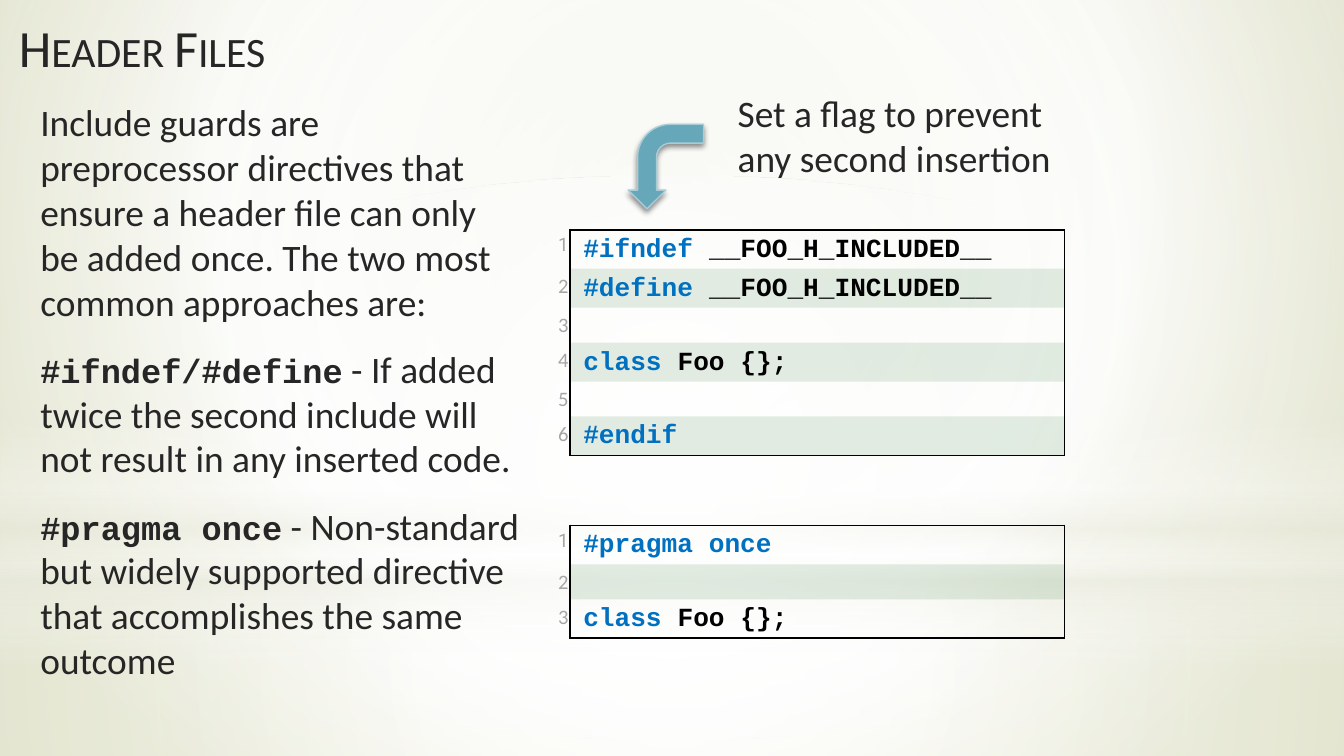
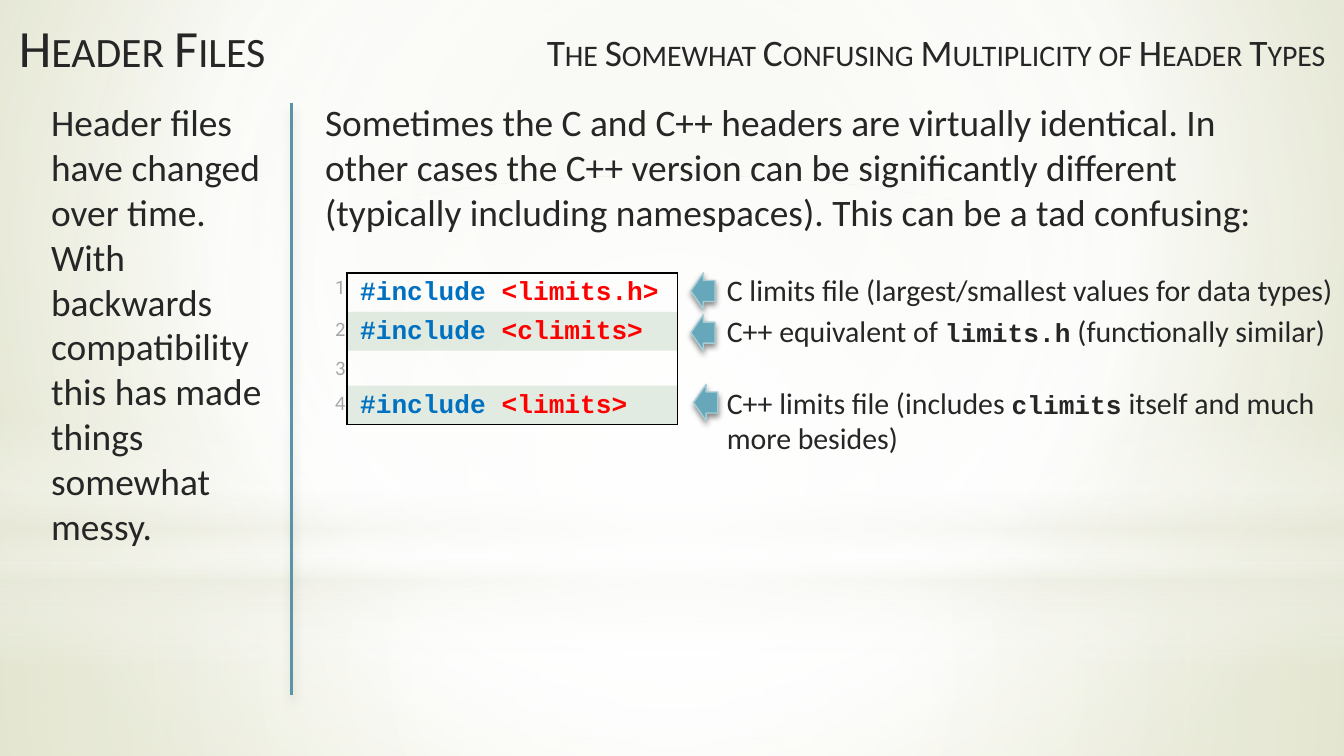
from lxml import etree
from pptx import Presentation
from pptx.dml.color import RGBColor
from pptx.enum.shapes import MSO_CONNECTOR, MSO_SHAPE
from pptx.enum.text import MSO_ANCHOR, MSO_AUTO_SIZE, PP_ALIGN
from pptx.oxml import parse_xml
from pptx.oxml.ns import nsdecls, qn
from pptx.util import Inches, Pt

RECTANGLE, OVAL = MSO_SHAPE.RECTANGLE, MSO_SHAPE.OVAL
BENT_ARROW, RIGHT_ARROW = MSO_SHAPE.BENT_ARROW, MSO_SHAPE.RIGHT_ARROW
LEFT, RIGHT = PP_ALIGN.LEFT, PP_ALIGN.RIGHT
TOP = MSO_ANCHOR.TOP
GROW, FIXED = MSO_AUTO_SIZE.SHAPE_TO_FIT_TEXT, MSO_AUTO_SIZE.NONE
STRAIGHT = MSO_CONNECTOR.STRAIGHT

INK, GREY, BLACK = "262626", "A6A6A6", "000000"
KEYWORD, HEADER = "0070C0", "FF0000"
ARROW_FILL, ARROW_EDGE, RULE = "66A7B9", "A8CDD7", "5995A5"
STRIPE, HAZE, WHITE = "72A376", "EAEBDE", "FFFFFF"
SANS, MONO = "Calibri", "Courier New"
INLINE_CODE = {"font": MONO, "bold": True}
NO_TABLE_STYLE = "{2D5ABB26-0587-4C30-8999-92F81FD0307C}"
NUMBER_WIDTH = 0.34
CODE_ROW, EMPTY_ROW = 0.29, 0.26

CENTRE = (50, 50, 50, 50)
BACKGROUND_STOPS = [(0, "E3E5D1", 100), (60, WHITE, 100), (100, "CCD09F", 100)]
BACKDROP = [
    (RECTANGLE, (0, 4.19, 10, 1.44), CENTRE,
     [(0, WHITE, 91), (37, WHITE, 76), (100, HAZE, 79)]),
    (RECTANGLE, (0, 0, 10, 4.19), CENTRE,
     [(0, WHITE, 89), (48, WHITE, 62), (100, HAZE, 79)]),
    (RECTANGLE, (0, 3.09, 10, 1.88), None,
     [(0, WHITE, 0), (29, WHITE, 30), (45, HAZE, 40),
      (55, WHITE, 26), (65, HAZE, 60), (100, WHITE, 0)]),
    (OVAL, (0, 1.31, 10, 4.19), CENTRE, [(0, WHITE, 100), (56, WHITE, 0)]),
]


def rgb(value):
    return RGBColor.from_string(value)


def inches(*values):
    return [Inches(value) for value in values]


def gradient(stops, focus):
    """Circular gradient around focus, or a downward one when focus is None."""
    marks = "".join(
        f'<a:gs pos="{pos * 1000}"><a:srgbClr val="{color}">'
        f'<a:alpha val="{alpha * 1000}"/></a:srgbClr></a:gs>'
        for pos, color, alpha in stops)
    if focus:
        sides = " ".join(f'{side}="{part * 1000}"' for side, part in zip("ltrb", focus))
        course = f'<a:path path="circle"><a:fillToRect {sides}/></a:path>'
    else:
        course = '<a:lin ang="5400000" scaled="0"/>'
    return parse_xml(f'<a:gradFill {nsdecls("a")} rotWithShape="1">'
                     f'<a:gsLst>{marks}</a:gsLst>{course}</a:gradFill>')


def build_backdrop(deck, page):
    """Give the master its background and its gradient layers."""
    master = deck.slide_master
    content = master.element.cSld
    old = content.find(qn("p:bg"))
    if old is not None:
        content.remove(old)
    back = parse_xml(f'<p:bg {nsdecls("p", "a")}><p:bgPr><a:effectLst/></p:bgPr></p:bg>')
    back[0].insert(0, gradient(BACKGROUND_STOPS, (20, 10, 20, 60)))
    content.insert(0, back)
    for order, (kind, place, focus, stops) in enumerate(BACKDROP):
        layer = page.shapes.add_shape(kind, *inches(*place))
        layer.shadow.inherit = False
        layer.line.fill.background()
        layer.element.spPr.insert(2, gradient(stops, focus))
        layer.element.nvSpPr.cNvPr.set("id", str(100 + order))
        master.shapes.element.insert(2 + order, layer.element)


def cast_shadow(shape, alpha, blur, distance):
    """Add a downward shadow; call it after fill and line are set."""
    properties = shape.element.spPr
    for old in properties.findall(qn("a:effectLst")):
        properties.remove(old)
    properties.append(parse_xml(
        f'<a:effectLst {nsdecls("a")}><a:outerShdw blurRad="{Pt(blur)}" '
        f'dist="{Pt(distance)}" dir="5400000" rotWithShape="0">'
        f'<a:srgbClr val="{BLACK}"><a:alpha val="{alpha * 1000}"/></a:srgbClr>'
        f'</a:outerShdw></a:effectLst>'))


def add_span(para, text, font=SANS, size=20, color=INK, bold=False, small_caps=False):
    span = para.add_run()
    span.text = text
    span.font.name, span.font.size, span.font.bold = font, Pt(size), bold
    span.font.color.rgb = rgb(color)
    if small_caps:
        span.font._element.set("cap", "small")


def fill_frame(frame, paragraphs, align=LEFT, gap=0, fit=GROW, **style):
    """Each paragraph is a list of (text, format) spans."""
    frame.word_wrap = True
    frame.auto_size = fit
    frame.vertical_anchor = TOP
    for order, spans in enumerate(paragraphs):
        para = frame.add_paragraph() if order else frame.paragraphs[0]
        properties = para._p.get_or_add_pPr()
        properties.set("marL", "0")
        properties.set("indent", "0")
        etree.SubElement(properties, qn("a:buNone"))
        para.alignment = align
        para.space_before = Pt(gap if order else 0)
        for text, extra in spans:
            add_span(para, text, **{**style, **extra})


def place_text(shape, place, paragraphs, **options):
    shape.left, shape.top, shape.width, shape.height = inches(*place)
    fill_frame(shape.text_frame, paragraphs, **options)


def add_text(page, place, spans, **options):
    box = page.shapes.add_textbox(*inches(*place))
    fill_frame(box.text_frame, [spans], **options)


def add_page(deck):
    page = deck.slides.add_slide(deck.slide_layouts[1])
    place_text(page.shapes.title, (0.04, 0.06, 6.61, 0.63), [[("Header Files", {})]],
               fit=FIXED, size=28, small_caps=True)
    return page


def set_borders(cell, sides):
    properties = cell._tc.get_or_add_tcPr()
    lines = [side for side in "LRTB" if side in sides]
    for order, side in enumerate(lines):
        properties.insert(order, parse_xml(
            f'<a:ln{side} {nsdecls("a")} w="{Pt(1)}"><a:solidFill>'
            f'<a:srgbClr val="{BLACK}"/></a:solidFill></a:ln{side}>'))


def fill_cell(cell, spans, align=LEFT, indent=0, striped=False, sides="", **style):
    cell.margin_left = cell.margin_right = Inches(0.01)
    cell.margin_top = cell.margin_bottom = Inches(0.01)
    if striped:
        cell.fill.solid()
        cell.fill.fore_color.rgb = rgb(STRIPE)
        color = cell._tc.tcPr.find(".//" + qn("a:srgbClr"))
        etree.SubElement(color, qn("a:alpha")).set("val", "20000")
    else:
        cell.fill.background()
    set_borders(cell, sides)
    para = cell.text_frame.paragraphs[0]
    para.alignment = align
    para.line_spacing = 1.15
    para._p.get_or_add_pPr().set("marL", str(Inches(indent)))
    for text, color in spans:
        add_span(para, text, color=color, **style)
    if not spans:
        etree.SubElement(para._p, qn("a:endParaRPr")).set("sz", "1000")


def add_code(page, left, top, code_width, lines):
    """Numbered listing; each line is a list of (text, colour) spans."""
    heights = [CODE_ROW if spans else EMPTY_ROW for spans in lines]
    frame = page.shapes.add_table(
        len(lines), 2, *inches(left, top, NUMBER_WIDTH + code_width, sum(heights)))
    table = frame.table
    table.first_row = table.horz_banding = False
    table._tbl.tblPr.find(qn("a:tableStyleId")).text = NO_TABLE_STYLE
    table.columns[0].width, table.columns[1].width = inches(NUMBER_WIDTH, code_width)
    for index, spans in enumerate(lines):
        table.rows[index].height = Inches(heights[index])
        number_font = {"font": SANS, "size": 11} if index else {"font": "Roboto", "size": 10}
        fill_cell(table.cell(index, 0), [(str(index + 1), GREY)], align=RIGHT,
                  sides="R", **number_font)
        sides = "LR" + ("" if index else "T") + ("B" if index == len(lines) - 1 else "")
        fill_cell(table.cell(index, 1), spans, indent=0.09, striped=index % 2 == 1,
                  sides=sides, font=MONO, size=14, bold=True)


def add_arrow(page, kind, place, rotation):
    arrow = page.shapes.add_shape(kind, *inches(*place))
    arrow.rotation = rotation
    arrow.fill.solid()
    arrow.fill.fore_color.rgb = rgb(ARROW_FILL)
    arrow.line.color.rgb = rgb(ARROW_EDGE)
    arrow.line.width = Pt(0.75)
    cast_shadow(arrow, 45, 3.1, 1.8)
    return arrow


def add_divider(page, left, top, bottom):
    divider = page.shapes.add_connector(STRAIGHT, *inches(left, top, left, bottom))
    divider.line.color.rgb = rgb(RULE)
    divider.line.width = Pt(1.25)
    cast_shadow(divider, 20, 5, 4)


def build_guards(page):
    code = {**INLINE_CODE, "size": 18}
    place_text(page.placeholders[1], (0.2, 0.69, 3.78, 4.48), [
        [("Include guards are preprocessor directives that ensure a header file can "
          "only be added once. The two most common approaches are:", {})],
        [("#ifndef/#define", code),
         (" - If added twice the second include will not result in any inserted code.", {})],
        [("#pragma once", code),
         (" - Non-standard but widely supported directive that accomplishes the same "
          "outcome", {})],
    ], gap=12)
    foo_class = [("class ", KEYWORD), ("Foo {};", BLACK)]
    add_code(page, 3.9, 1.71, 3.68, [
        [("#ifndef ", KEYWORD), ("__FOO_H_INCLUDED__", BLACK)],
        [("#define", KEYWORD), (" __FOO_H_INCLUDED__", BLACK)],
        [],
        foo_class,
        [],
        [("#endif", KEYWORD)],
    ])
    arrow = add_arrow(page, BENT_ARROW, (4.64, 0.96, 0.63, 0.56), 90)
    arrow.element.spPr.xfrm.set("flipV", "1")
    add_text(page, (5.39, 0.62, 2.83, 0.77),
             [("Set a flag to prevent any second insertion", {})])
    add_code(page, 3.9, 3.91, 3.68, [[("#pragma once", KEYWORD)], [], foo_class])


def build_header_types(page):
    add_text(page, (3.66, 0.17, 6.3, 0.44),
             [("The Somewhat Confusing Multiplicity of Header Types", {})],
             align=RIGHT, small_caps=True)
    place_text(page.placeholders[1], (0.28, 0.69, 1.89, 3.47), [
        [("Header files have changed over time. With backwards compatibility this has "
          "made things somewhat messy.", {})]])
    add_divider(page, 2.17, 0.77, 5.17)
    add_text(page, (2.32, 0.69, 7.21, 1.11), [
        ("Sometimes the C and C++ headers are virtually identical. In other cases the "
         "C++ version can be significantly different (typically including namespaces). "
         "This can be a tad confusing:", {})])
    includes = ["<limits.h>", "<climits>", None, "<limits>"]
    add_code(page, 2.24, 2.03, 2.46, [
        [("#include ", KEYWORD), (name, HEADER)] if name else [] for name in includes])
    code = {**INLINE_CODE, "size": 14}
    remarks = [
        (5.14, 2.03, 1.97, 0.37,
         [("C limits file (largest/smallest values for data types)", {})]),
        (5.14, 2.34, 2.28, 0.37,
         [("C++ equivalent of ", {}), ("limits.h", code), (" (functionally similar)", {})]),
        (5.16, 2.86, 2.81, 0.64,
         [("C++ limits file (includes ", {}), ("climits", code),
          (" itself and much more besides)", {})]),
    ]
    for arrow_left, arrow_top, text_top, height, spans in remarks:
        arrow = add_arrow(page, RIGHT_ARROW, (arrow_left, arrow_top, 0.18, 0.27), 180)
        arrow.adjustments[0], arrow.adjustments[1] = 0.58, 0.52
        add_text(page, (5.31, text_top, 4.72, height), spans, size=16)


def main():
    deck = Presentation()
    deck.slide_width = Inches(10)
    deck.slide_height = deck.slide_width * 9 // 16
    guards = add_page(deck)
    build_backdrop(deck, guards)
    build_guards(guards)
    build_header_types(add_page(deck))
    deck.save("out.pptx")


if __name__ == "__main__":
    main()
